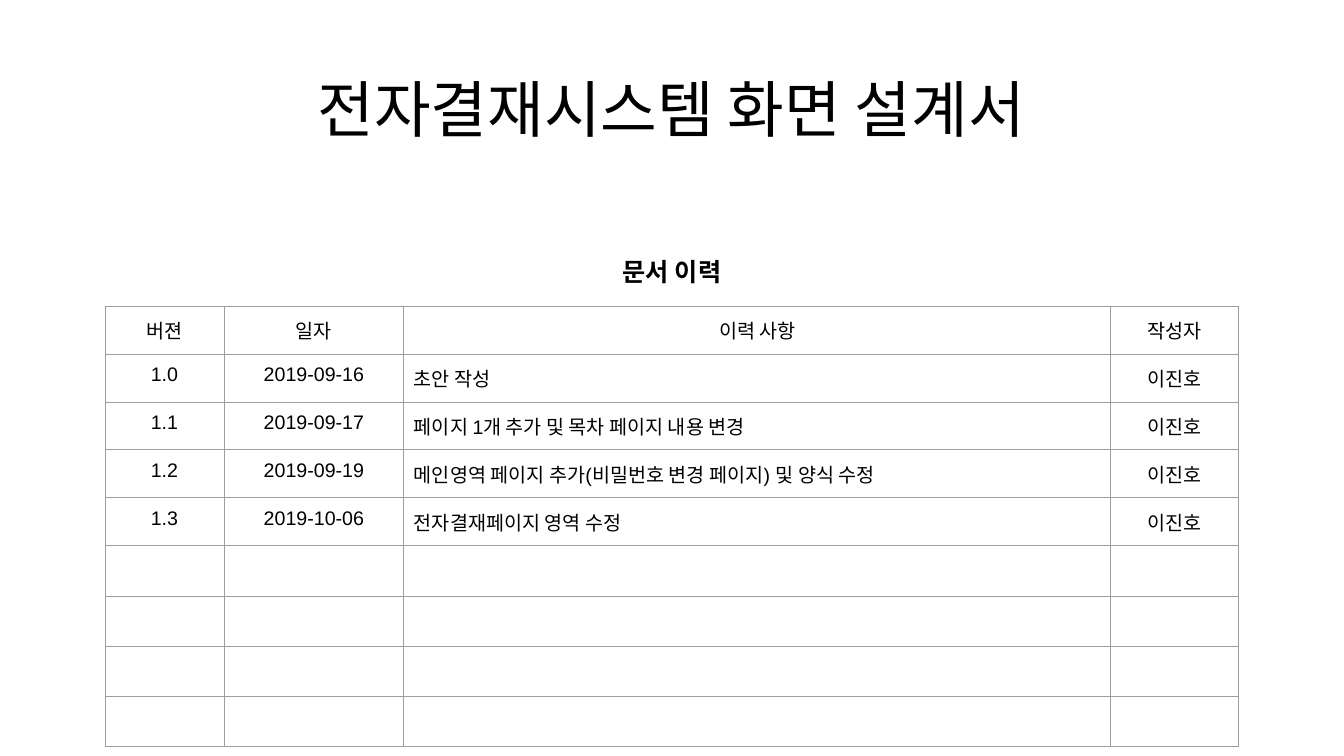
from lxml import etree
from pptx import Presentation
from pptx.dml.color import RGBColor
from pptx.enum.text import MSO_ANCHOR, PP_ALIGN
from pptx.oxml.ns import qn
from pptx.util import Emu, Pt

BLACK = RGBColor(0x00, 0x00, 0x00)
WHITE = RGBColor(0xFF, 0xFF, 0xFF)
GRID_GRAY = RGBColor(0x9E, 0x9E, 0x9E)
CENTER, LEFT = PP_ALIGN.CENTER, PP_ALIGN.LEFT
MIDDLE = MSO_ANCHOR.MIDDLE
KOREAN_FONT, LATIN_FONT = "Noto Sans CJK KR", "Arial"
BORDER_SIDES = ("a:lnL", "a:lnR", "a:lnT", "a:lnB")
PX_PER_INCH = 100.8

HEADINGS = ("버젼", "일자", "이력 사항", "작성자")
AUTHOR = "이진호"
REVISIONS = [
    ("1.0", "2019-09-16", "초안 작성", AUTHOR),
    ("1.1", "2019-09-17", "페이지 1개 추가 및 목차 페이지 내용 변경", AUTHOR),
    ("1.2", "2019-09-19", "메인영역 페이지 추가(비밀번호 변경 페이지) 및 양식 수정", AUTHOR),
    ("1.3", "2019-10-06", "전자결재페이지 영역 수정", AUTHOR),
]
SPARE_ROWS = 4
COLUMN_WIDTHS = (119, 180, 707, 128)
COLUMN_ALIGNS = (CENTER, CENTER, LEFT, CENTER)
ROW_HEIGHT = 48


def px(length):
    return Emu(round(length * 914400 / PX_PER_INCH))


class SlideBuilder:
    def __init__(self, slide):
        self.slide = slide

    def style(self, paragraph, size, font, align, bold=False):
        paragraph.alignment = align
        for run in paragraph.runs:
            run.font.size = Pt(size)
            run.font.bold = bold
            run.font.name = font
            run.font.color.rgb = BLACK
            east_asian = etree.SubElement(run.font._element, qn("a:ea"))
            east_asian.set("typeface", KOREAN_FONT)

    def heading(self, text, box, size, bold=False, spacing=1.0):
        frame = self.slide.shapes.add_textbox(*map(px, box)).text_frame
        frame.word_wrap = True
        frame.vertical_anchor = MIDDLE
        frame.text = text
        frame.paragraphs[0].line_spacing = spacing
        self.style(frame.paragraphs[0], size, KOREAN_FONT, CENTER, bold)

    def border(self, cell):
        properties = cell._tc.get_or_add_tcPr()
        for side in BORDER_SIDES:
            line = etree.SubElement(properties, qn(side), w=str(Pt(0.75)))
            fill = etree.SubElement(line, qn("a:solidFill"))
            etree.SubElement(fill, qn("a:srgbClr"), val=str(GRID_GRAY))

    def cell(self, cell, text, align):
        cell.margin_left = cell.margin_right = px(10)
        cell.margin_top = cell.margin_bottom = px(10)
        self.border(cell)
        cell.fill.solid()
        cell.fill.fore_color.rgb = WHITE
        cell.text = text
        self.style(cell.text_frame.paragraphs[0], 14, LATIN_FONT, align)

    def table(self, rows, left, top):
        width, height = sum(COLUMN_WIDTHS), ROW_HEIGHT * len(rows)
        table = self.slide.shapes.add_table(
            len(rows), len(COLUMN_WIDTHS), px(left), px(top), px(width), px(height)
        ).table
        table.first_row = table.horz_banding = False
        for column, column_width in zip(table.columns, COLUMN_WIDTHS):
            column.width = px(column_width)
        for r, texts in enumerate(rows):
            table.rows[r].height = px(ROW_HEIGHT)
            for c, text in enumerate(texts):
                align = COLUMN_ALIGNS[c] if r else CENTER
                self.cell(table.cell(r, c), text, align)


def main():
    deck = Presentation()
    deck.slide_width, deck.slide_height = px(1344), px(756)
    builder = SlideBuilder(deck.slides.add_slide(deck.slide_layouts[6]))

    # Document title
    builder.heading("전자결재시스템 화면 설계서", (92, 40, 1159, 146), 44, spacing=0.9)

    # Revision history, with spare rows for later entries
    spare = [("",) * len(HEADINGS)] * SPARE_ROWS
    builder.table([HEADINGS, *REVISIONS, *spare], 105, 306)
    builder.heading("문서 이력", (105, 249, 1134, 44), 18, bold=True)

    deck.save("out.pptx")


if __name__ == "__main__":
    main()
